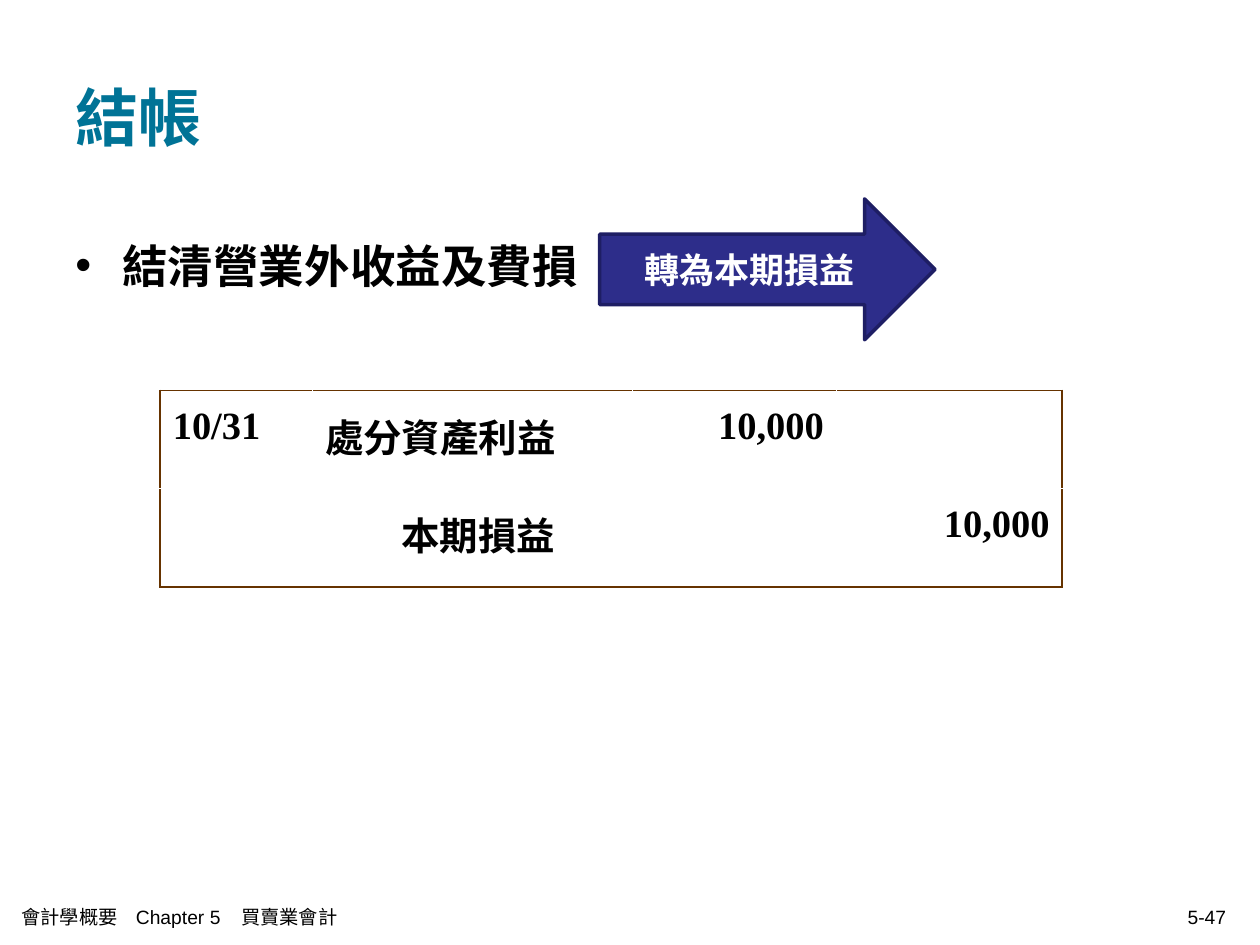
from lxml.etree import SubElement
from pptx import Presentation
from pptx.dml.color import RGBColor
from pptx.enum.shapes import MSO_SHAPE
from pptx.enum.text import MSO_ANCHOR, PP_ALIGN
from pptx.oxml.ns import qn
from pptx.util import Cm, Pt

SERIF = "Times New Roman"
SANS = "Arial"
BLACK = "000000"
ENTRIES = [
    ["10/31", "處分資產利益", "10,000", ""],
    ["", "本期損益", "", "10,000"],
]


def color(value):
    """Turn a hex string into a colour."""
    return RGBColor.from_string(value)


def format_text(frame, size, font=SERIF, shade=BLACK, bold=True, align=PP_ALIGN.LEFT):
    """Format every paragraph and run of a text frame."""
    for para in frame.paragraphs:
        para.alignment = align
        for span in para.runs:
            span.font.name = font
            span.font.size = Pt(size)
            span.font.bold = bold
            span.font.color.rgb = color(shade)


def add_title(page, text):
    """Place and format the title placeholder."""
    title = page.shapes.title
    title.left, title.top, title.width, title.height = Cm(1.27), Cm(0.76), Cm(22.86), Cm(3.18)
    title.text_frame.text = text
    title.text_frame.vertical_anchor = MSO_ANCHOR.MIDDLE
    format_text(title.text_frame, 36, shade="007396")


def add_text(page, text, left, top, width, height):
    """Add a wrapping text box and return its frame."""
    frame = page.shapes.add_textbox(Cm(left), Cm(top), Cm(width), Cm(height)).text_frame
    frame.word_wrap = True
    frame.text = text
    return frame


def add_bullet(page, text):
    """Add the bulleted statement."""
    frame = add_text(page, text, 1.27, 4.45, 22.86, 12.57)
    para = frame.paragraphs[0]
    para.line_spacing = 1.2
    properties = para._p.get_or_add_pPr()
    properties.set("marL", str(Cm(0.95)))
    properties.set("indent", str(-Cm(0.95)))
    SubElement(properties, qn("a:buFont"), typeface=SANS)
    SubElement(properties, qn("a:buChar"), char="•")
    format_text(frame, 26)


def add_arrow(page, text):
    """Add the labelled block arrow."""
    arrow = page.shapes.add_shape(MSO_SHAPE.RIGHT_ARROW, Cm(12.09), Cm(4.01), Cm(6.76), Cm(2.84))
    arrow.shadow.inherit = False
    arrow.fill.solid()
    arrow.fill.fore_color.rgb = color("2D2D8A")
    arrow.line.color.rgb = color("1E1E64")
    arrow.line.width = Pt(2)
    frame = arrow.text_frame
    frame.text = text
    frame.vertical_anchor = MSO_ANCHOR.MIDDLE
    format_text(frame, 20, shade="FFFFFF", align=PP_ALIGN.CENTER)


def add_border(cell, side):
    """Draw one side of a cell."""
    line = SubElement(cell._tc.get_or_add_tcPr(), qn("a:ln" + side), w=str(Pt(1.08)))
    fill = SubElement(line, qn("a:solidFill"))
    SubElement(fill, qn("a:srgbClr"), val="663300")


def add_journal(page, entries, widths):
    """Add the journal entry table with an outer frame only."""
    rows, columns = len(entries), len(widths)
    table = page.shapes.add_table(
        rows, columns, Cm(3.23), Cm(7.87), Cm(sum(widths)), Cm(1.98 * rows)
    ).table
    table.first_row = table.horz_banding = False
    for column, width in zip(table.columns, widths):
        column.width = Cm(width)
    for i, entry in enumerate(entries):
        for j, text in enumerate(entry):
            cell = table.cell(i, j)
            outer = {"L": j == 0, "R": j == columns - 1, "T": i == 0, "B": i == rows - 1}
            for side in [name for name, drawn in outer.items() if drawn]:
                add_border(cell, side)
            cell.fill.background()
            cell.text_frame.text = text
            cell.text_frame.paragraphs[0].line_spacing = 1.2
            align = PP_ALIGN.RIGHT if j >= 2 else PP_ALIGN.LEFT
            format_text(cell.text_frame, 22, align=align)
    credit = table.cell(1, 1).text_frame.paragraphs[0]
    credit._p.get_or_add_pPr().set("marL", str(Cm(1.54)))


def add_footer(page, parts, number):
    """Add the running footer, set on tab stops, and the page number."""
    frame = add_text(page, "\t".join(parts), 0.18, 18.06, 12.95, 0.84)
    stops = SubElement(frame.paragraphs[0]._p.get_or_add_pPr(), qn("a:tabLst"))
    for position in (2.31, 4.43):
        SubElement(stops, qn("a:tab"), pos=str(Cm(position)), algn="l")
    number_frame = add_text(page, number, 19.05, 18.06, 5.92, 0.84)
    for part, align in ((frame, PP_ALIGN.LEFT), (number_frame, PP_ALIGN.RIGHT)):
        part.vertical_anchor = MSO_ANCHOR.MIDDLE
        format_text(part, 11, font=SANS, bold=False, align=align)


def main():
    """Build the closing entries slide."""
    deck = Presentation()
    deck.slide_width, deck.slide_height = Cm(25.4), Cm(19.05)
    page = deck.slides.add_slide(deck.slide_layouts[5])
    add_title(page, "結帳")
    add_bullet(page, "結清營業外收益及費損")
    add_journal(page, ENTRIES, [3.07, 6.45, 4.11, 4.55])
    add_arrow(page, "轉為本期損益")
    add_footer(page, ["會計學概要", "Chapter 5", "買賣業會計"], "5-47")
    deck.save("out.pptx")


if __name__ == "__main__":
    main()
